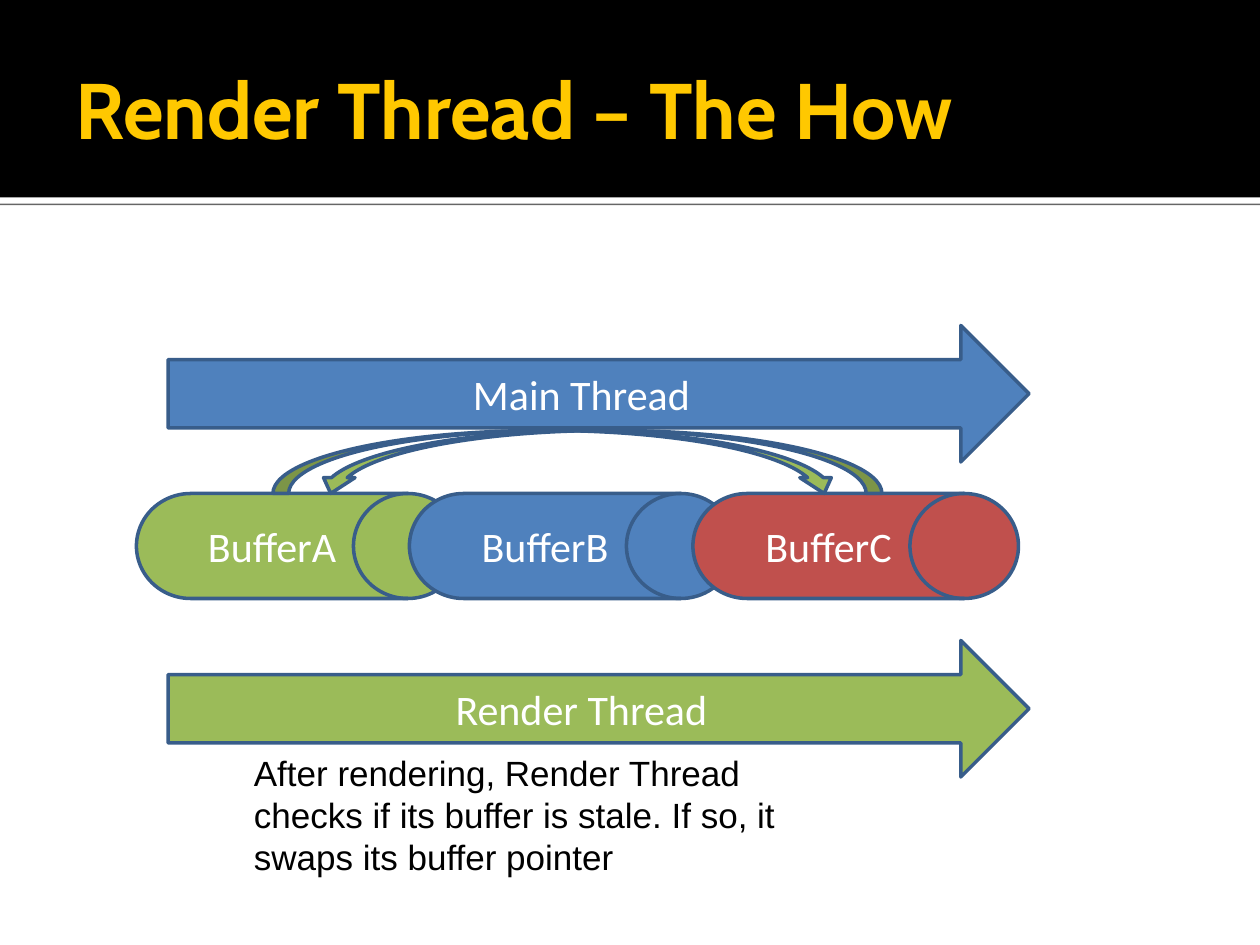
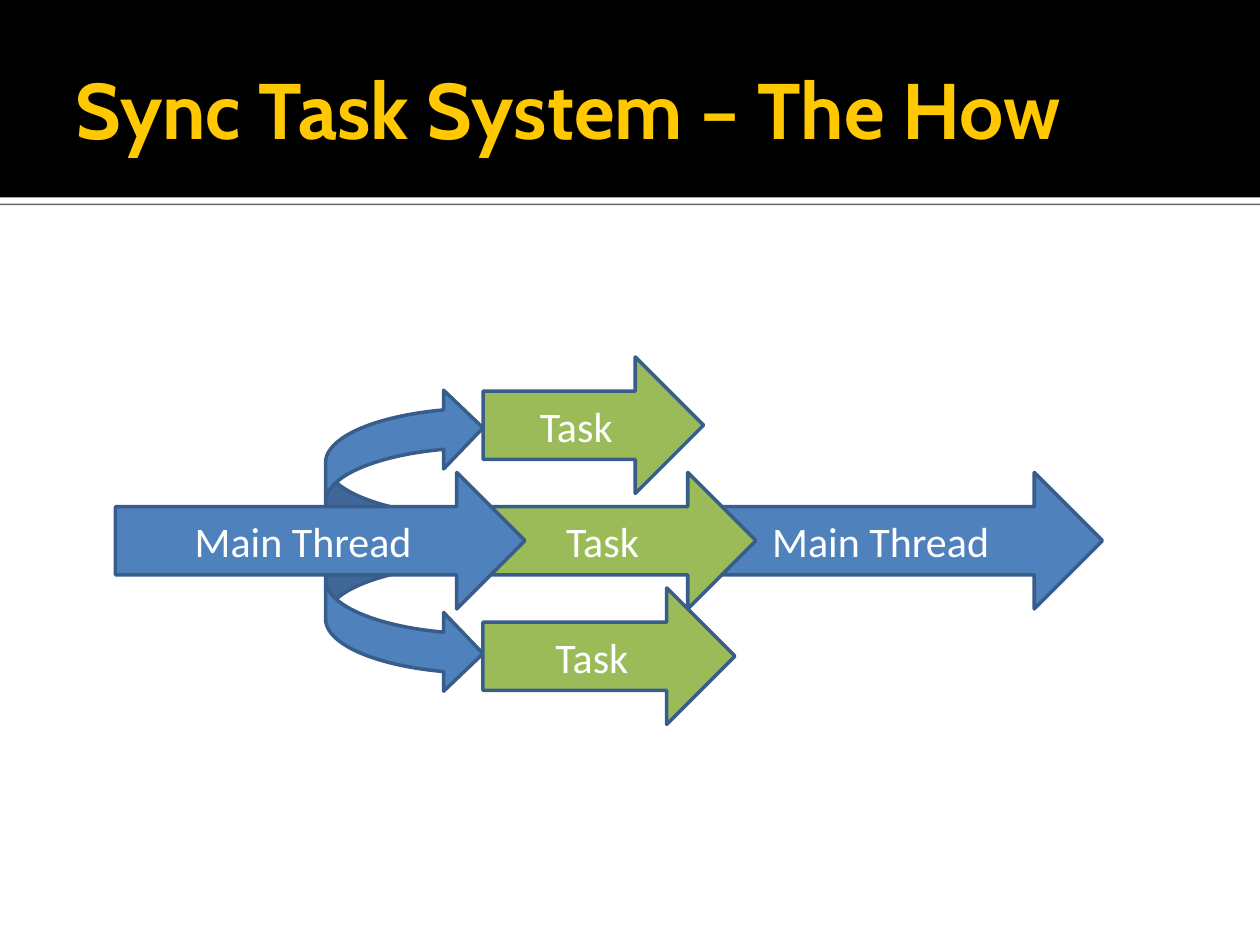
"""Build two slides on threading, laid out on a grid of 120 columns by 90 rows."""
import lxml.etree
import pptx
import pptx.dml.color
import pptx.enum.shapes
import pptx.enum.text
import pptx.oxml.ns
import pptx.util

BLACK, WHITE, GOLD = "000000", "FFFFFF", "FFC800"
BLUE, GREEN, RED, OUTLINE = "4F81BD", "9BBB59", "C0504D", "385D8A"
BAND_ROWS, STRIP_ROWS = 18.8, 0.6
ARROW_ROWS, DRUM_ROWS = 13, 10

deck = pptx.Presentation()
deck.slide_width = pptx.util.Inches(10)
deck.slide_height = pptx.util.Inches(7.5)
CELL = deck.slide_width / 120
kinds = pptx.enum.shapes.MSO_SHAPE


def add_box(page, kind, column, row, columns, rows, fill=None, outline=None):
    place = [round(cells * CELL) for cells in (column, row, columns, rows)]
    if kind is None:
        return page.shapes.add_textbox(*place)
    box = page.shapes.add_shape(kind, *place)
    box.shadow.inherit = False
    box.fill.solid()
    box.fill.fore_color.rgb = pptx.dml.color.RGBColor.from_string(fill)
    if outline:
        box.line.color.rgb = pptx.dml.color.RGBColor.from_string(outline)
        box.line.width = pptx.util.Pt(2)
    else:
        box.line.fill.background()
    return box


def write(box, text, size, font, color, centred=False, middle=True, bold=False):
    frame = box.text_frame
    frame.word_wrap = True
    anchors = pptx.enum.text.MSO_ANCHOR
    frame.vertical_anchor = anchors.MIDDLE if middle else anchors.TOP
    para = frame.paragraphs[0]
    aligns = pptx.enum.text.PP_ALIGN
    para.alignment = aligns.CENTER if centred else aligns.LEFT
    span = para.add_run()
    span.text = text
    span.font.size = pptx.util.Pt(size)
    span.font.name = font
    span.font.bold = bold
    span.font.color.rgb = pptx.dml.color.RGBColor.from_string(color)


ARROW, DRUM = kinds.RIGHT_ARROW, kinds.FLOWCHART_DIRECT_ACCESS_STORAGE
DOWN, RIGHT = kinds.CURVED_DOWN_ARROW, kinds.CURVED_RIGHT_ARROW

slides = {
    "Render Thread – The How": [
        (ARROW, 16, 31, 82, ARROW_ROWS, BLUE, "Main Thread", None),
        (ARROW, 16, 61, 82, ARROW_ROWS, GREEN, "Render Thread", None),
        (DRUM, 13, 47, 31, DRUM_ROWS, GREEN, "BufferA", None),
        (DRUM, 39, 47, 31, DRUM_ROWS, BLUE, "BufferB", None),
        (DRUM, 66, 47, 31, DRUM_ROWS, RED, "BufferC", None),
        (DOWN, 26, 41, 54, 6, GREEN, None, None),
        (DOWN, 30, 41, 54, 6, GREEN, None, "flipH"),
    ],
    "Sync Task System – The How": [
        (RIGHT, 31, 50, 15, 16, BLUE, None, None),
        (RIGHT, 31, 37, 15, 16, BLUE, None, "flipV"),
        (ARROW, 66, 45, 39, ARROW_ROWS, BLUE, "Main Thread", None),
        (ARROW, 46, 34, 21, ARROW_ROWS, GREEN, "Task", None),
        (ARROW, 46, 56, 24, ARROW_ROWS, GREEN, "Task", None),
        (ARROW, 46, 45, 26, ARROW_ROWS, GREEN, "Task", None),
        (ARROW, 11, 45, 39, ARROW_ROWS, BLUE, "Main Thread", None),
    ],
}

for title, parts in slides.items():
    page = deck.slides.add_slide(deck.slide_layouts[6])

    strip = add_box(page, kinds.RECTANGLE, 0, BAND_ROWS, 120, STRIP_ROWS, WHITE)
    effects = strip.element.spPr.find(pptx.oxml.ns.qn("a:effectLst"))
    shadow = lxml.etree.SubElement(
        effects, pptx.oxml.ns.qn("a:outerShdw"),
        blurRad="0", dist=str(pptx.util.Pt(0.8)), dir="5400000", rotWithShape="0")
    shade = lxml.etree.SubElement(shadow, pptx.oxml.ns.qn("a:srgbClr"), val=BLACK)
    lxml.etree.SubElement(shade, pptx.oxml.ns.qn("a:alpha"), val="60000")

    add_box(page, kinds.RECTANGLE, 0, 0, 120, BAND_ROWS, BLACK)
    heading = add_box(page, None, 6, 2, 108, 16.5)
    heading.text_frame.margin_right = pptx.util.Inches(0.05)
    write(heading, title, 45, "Cabin", GOLD, bold=True)

    for kind, column, row, columns, rows, fill, label, flip in parts:
        box = add_box(page, kind, column, row, columns, rows, fill, OUTLINE)
        if label:
            write(box, label, 24, "Calibri", WHITE, centred=True)
        if flip:
            box.element.spPr.xfrm.set(flip, "1")

caption = add_box(deck.slides[0], None, 23, 71, 60, 13.2)
write(caption, "After rendering, Render Thread checks if its buffer is stale. "
      "If so, it swaps its buffer pointer", 20, "Arial", BLACK, middle=False)

deck.save("out.pptx")
